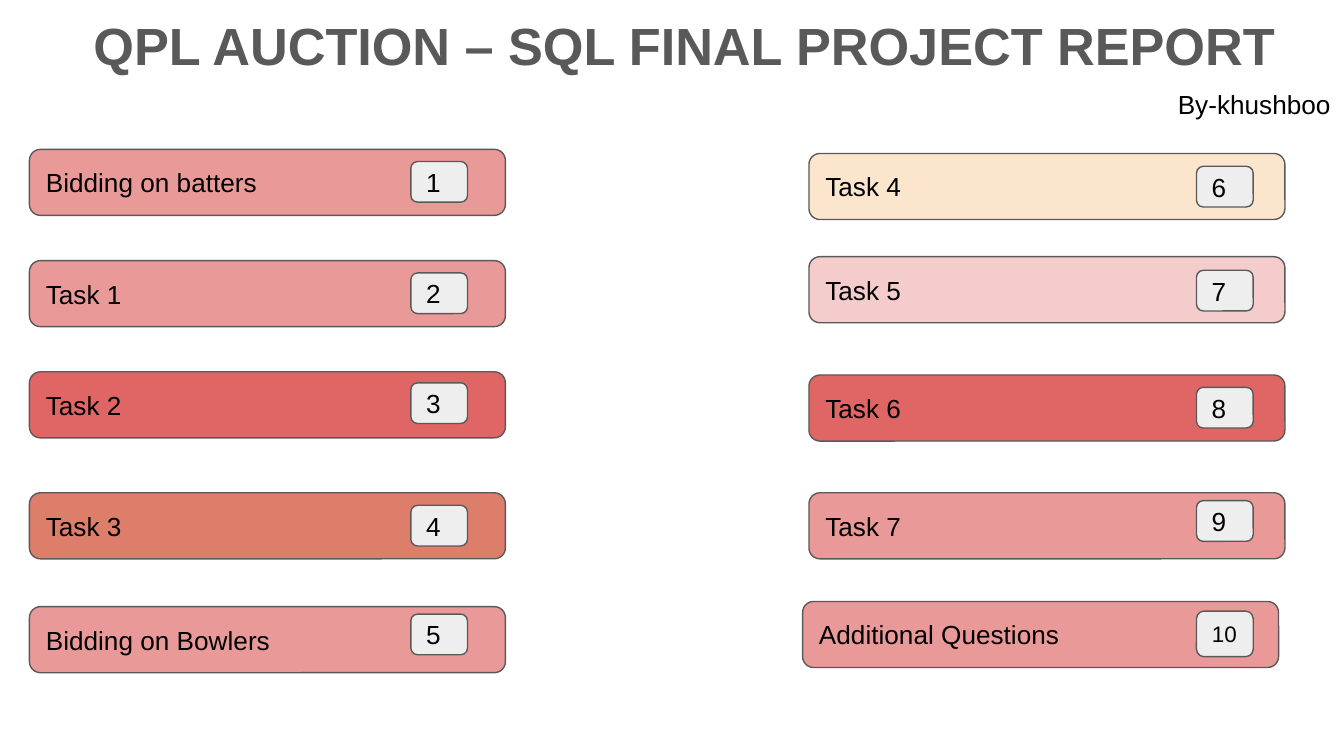
from dataclasses import dataclass

from pptx import Presentation
from pptx.dml.color import RGBColor
from pptx.enum.shapes import MSO_SHAPE
from pptx.enum.text import MSO_ANCHOR, MSO_AUTO_SIZE, PP_ALIGN
from pptx.shapes.autoshape import Shape
from pptx.slide import Slide
from pptx.util import Pt

ROUND = MSO_SHAPE.ROUNDED_RECTANGLE
TOP, MIDDLE = MSO_ANCHOR.TOP, MSO_ANCHOR.MIDDLE
LEFT, CENTER, RIGHT = PP_ALIGN.LEFT, PP_ALIGN.CENTER, PP_ALIGN.RIGHT
NO_FIT = MSO_AUTO_SIZE.NONE

COLORS = {
    "ink": "000000",
    "gray": "595959",
    "badge": "EEEEEE",
    "rose": "EA9999",
    "red": "E06666",
    "rust": "DD7E6B",
    "pink": "F4CCCC",
    "cream": "FCE5CD",
}
FONT = "Arial"
INSET = 7.2
BAR_W, BAR_H = 255, 35.4
TAG_W, TAG_H = 30.4, 21.8


@dataclass
class Box:
    x: float
    y: float
    w: float
    h: float


@dataclass
class Task:
    name: str
    fill: str
    y: float
    tag_y: float
    shift: float = 0
    tag_h: float = TAG_H
    tag_size: float = 14


@dataclass
class Column:
    x: float
    tag_x: float
    tasks: list[Task]


COLUMNS = [
    Column(15.8, 220.1, [
        Task("Bidding on batters", "rose", 80, 86.5),
        Task("Task 1", "rose", 139.6, 146.2),
        Task("Task 2", "red", 199.2, 205.1),
        Task("Task 3", "rust", 264, 270.7),
        Task("Bidding on Bowlers", "rose", 325, 329),
    ]),
    Column(433.4, 641, [
        Task("Task 4", "cream", 82.2, 89.1),
        Task("Task 5", "pink", 137.5, 144.8),
        Task("Task 6", "red", 200.9, 207.5),
        Task("Task 7", "rose", 264, 268.2),
        Task("Additional Questions", "rose", 322.2, 327.4, -3.4, 24.4, 12),
    ]),
]


def color(key: str) -> RGBColor:
    return RGBColor.from_string(COLORS[key])


def place(shape: Shape, box: Box) -> None:
    shape.left, shape.top = Pt(box.x), Pt(box.y)
    shape.width, shape.height = Pt(box.w), Pt(box.h)


def write(shape: Shape, text: str, size: float = 14, align: PP_ALIGN = LEFT,
          anchor: MSO_ANCHOR = TOP, ink: str = "ink", bold: bool = False) -> None:
    frame = shape.text_frame
    frame.auto_size = NO_FIT
    frame.word_wrap = True
    frame.vertical_anchor = anchor
    frame.margin_left = frame.margin_right = Pt(INSET)
    frame.margin_top = frame.margin_bottom = Pt(INSET)
    para = frame.paragraphs[0]
    para.alignment = align
    run = para.add_run()
    run.text = text
    run.font.name = FONT
    run.font.size = Pt(size)
    run.font.bold = bold
    run.font.color.rgb = color(ink)


def draw_card(slide: Slide, box: Box, fill: str, text: str, size: float = 14) -> None:
    """Draw an outlined round box with its text at the left."""
    card = slide.shapes.add_shape(ROUND, Pt(box.x), Pt(box.y), Pt(box.w), Pt(box.h))
    card.shadow.inherit = False
    card.fill.solid()
    card.fill.fore_color.rgb = color(fill)
    card.line.color.rgb = color("gray")
    card.line.width = Pt(0.75)
    write(card, text, size, anchor=MIDDLE)


def draw_column(slide: Slide, column: Column, first: int) -> None:
    for number, task in enumerate(column.tasks, first):
        bar = Box(column.x + task.shift, task.y, BAR_W, BAR_H)
        tag = Box(column.tag_x, task.tag_y, TAG_W, task.tag_h)
        draw_card(slide, bar, task.fill, task.name)
        draw_card(slide, tag, "badge", str(number), task.tag_size)


def main() -> None:
    deck = Presentation()
    deck.slide_width, deck.slide_height = Pt(720), Pt(405)
    slide = deck.slides.add_slide(deck.slide_layouts[5])

    title = slide.shapes.title
    place(title, Box(31, 6.5, 671, 42.5))
    write(title, "QPL AUCTION – SQL FINAL PROJECT REPORT", 28, CENTER,
          ink="gray", bold=True)
    title.text_frame.paragraphs[0].line_spacing = 0.8

    first = 1
    for column in COLUMNS:
        draw_column(slide, column, first)
        first += len(column.tasks)

    author = slide.shapes.add_textbox(Pt(536.4), Pt(40.3), Pt(183.6), Pt(42.5))
    write(author, "By-khushboo", align=RIGHT)

    deck.save("out.pptx")


if __name__ == "__main__":
    main()
